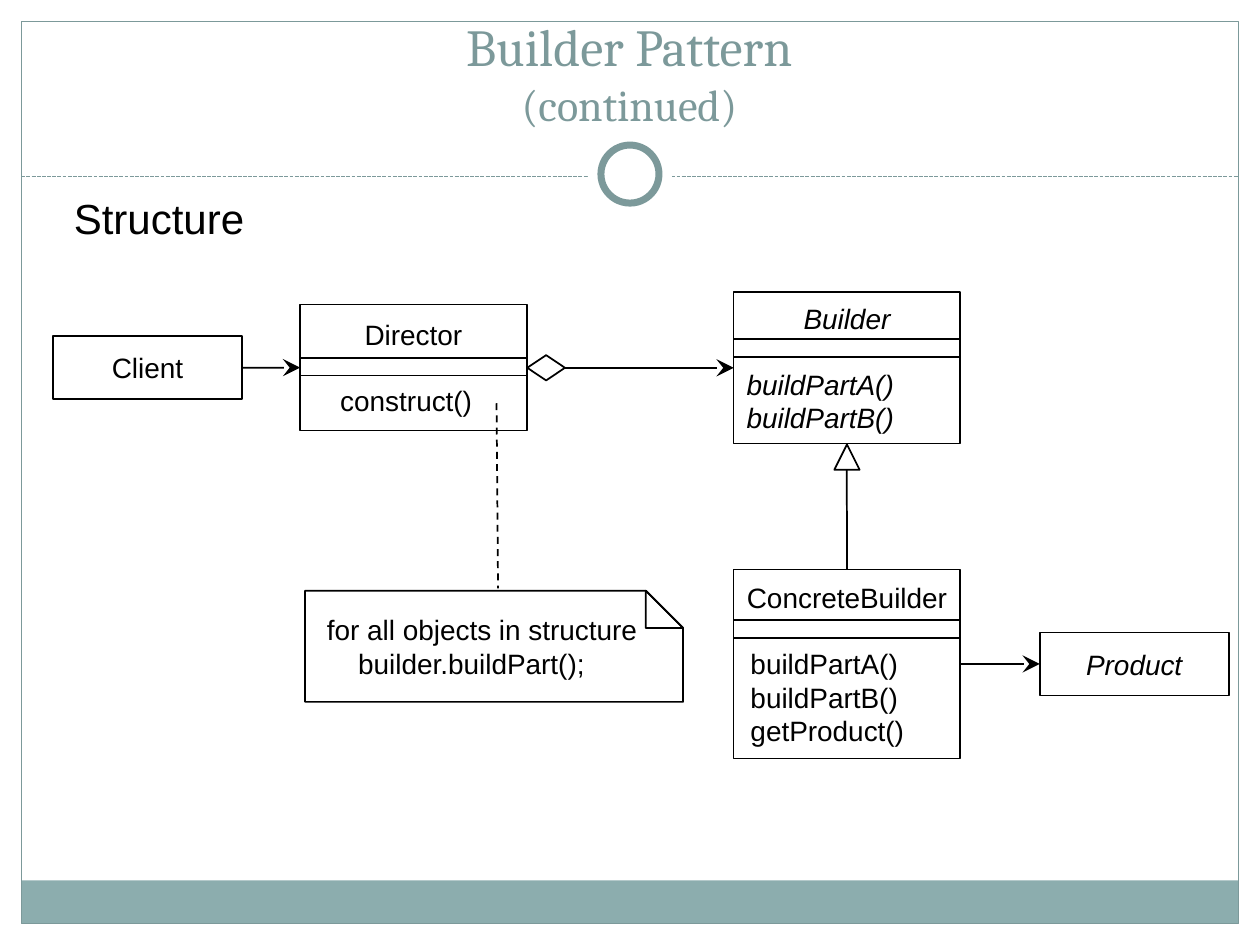
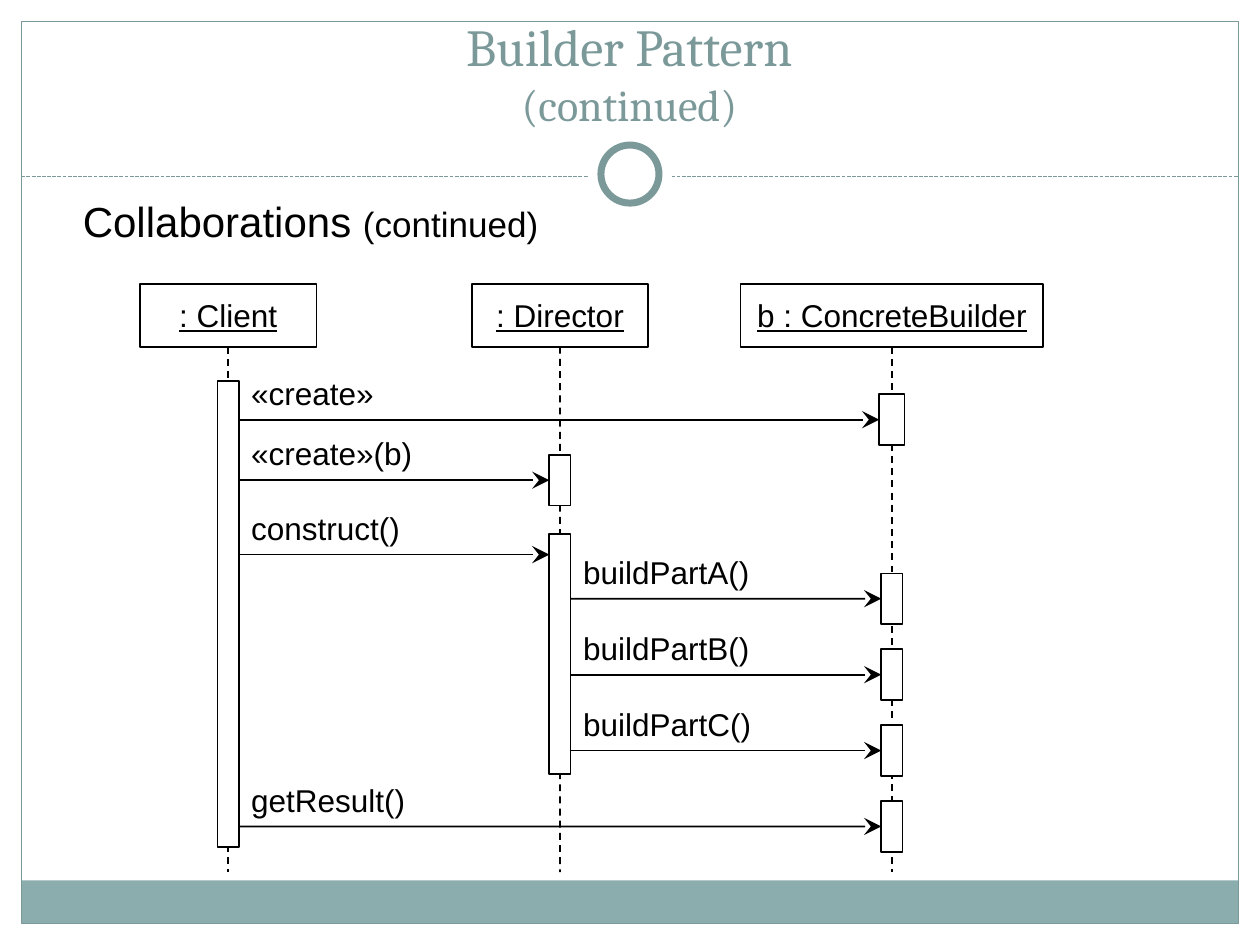
from collections import namedtuple

from lxml.etree import SubElement
from pptx import Presentation
from pptx.dml.color import RGBColor
from pptx.enum.dml import MSO_LINE
from pptx.enum.shapes import MSO_CONNECTOR, MSO_SHAPE
from pptx.enum.text import MSO_ANCHOR, MSO_AUTO_SIZE, PP_ALIGN
from pptx.oxml.ns import qn
from pptx.util import Cm, Pt

BLACK, WHITE, TEAL, BAND = "000000", "FFFFFF", "7C999A", "8CADAE"
BODY_FONT, TITLE_FONT = "Arial", "Cambria"
TOP, LEFT, BOTTOM, RIGHT = range(4)
TITLE_ONLY = 5

Box = namedtuple("Box", "left top width height")


def color(value):
    return RGBColor.from_string(value)


def within(box, left, top, width, height):
    return Box(box.left + left, box.top + top, width, height)


def paint(shape, fill, line, line_width):
    shape.shadow.inherit = False
    if fill:
        shape.fill.solid()
        shape.fill.fore_color.rgb = color(fill)
    else:
        shape.fill.background()
    if line:
        shape.line.color.rgb = color(line)
        shape.line.width = Pt(line_width)
    else:
        shape.line.fill.background()
    return shape


def add_figure(slide, kind, box, fill=None, line=BLACK, line_width=1):
    shape = slide.shapes.add_shape(kind, *map(Cm, box))
    return paint(shape, fill, line, line_width)


def add_line(slide, start, end, line=BLACK, line_width=1, dash=None, arrow=False):
    connector = slide.shapes.add_connector(
        MSO_CONNECTOR.STRAIGHT, *map(Cm, (*start, *end)))
    connector.line.color.rgb = color(line)
    connector.line.width = Pt(line_width)
    if dash:
        connector.line.dash_style = dash
    properties = connector.element.spPr
    if arrow:
        SubElement(properties.find(qn("a:ln")), qn("a:tailEnd"),
                   type="stealth", w="lg", len="lg")
    SubElement(properties, qn("a:effectLst"))
    return connector


def join(slide, first, first_side, second, second_side):
    connector = add_line(slide, (0, 0), (1, 1), arrow=True)
    connector.begin_connect(first, first_side)
    connector.end_connect(second, second_side)


def write(shape, lines, size, align=PP_ALIGN.LEFT, anchor=MSO_ANCHOR.MIDDLE,
          margin=0.25, italic=False, underline=False):
    frame = shape.text_frame
    frame.word_wrap = True
    frame.vertical_anchor = anchor
    frame.margin_left = frame.margin_right = Cm(margin)
    frame.text = "\n".join(lines)
    for paragraph in frame.paragraphs:
        paragraph.alignment = align
        font = paragraph.font
        font.name, font.size, font.color.rgb = BODY_FONT, Pt(size), color(BLACK)
        font.italic, font.underline = italic, underline
    return frame.paragraphs


def indent(paragraph, length):
    paragraph._p.get_or_add_pPr().set("marL", str(Cm(length)))


def add_label(slide, box, text, size, anchor=MSO_ANCHOR.MIDDLE):
    label = slide.shapes.add_textbox(*map(Cm, box))
    return write(label, [text], size, anchor=anchor)[0]


def add_frame(slide, box):
    center = box.left + box.width / 2
    rule_y = box.top + 3.13
    ring_y = box.top + 3.08
    add_figure(slide, MSO_SHAPE.RECTANGLE,
               within(box, 0, box.height - 0.87, box.width, 0.87), BAND, None)
    add_figure(slide, MSO_SHAPE.RECTANGLE, box, None, TEAL, 0.75)
    add_line(slide, (box.left, rule_y), (box.left + box.width, rule_y),
             TEAL, 0.75, MSO_LINE.SQUARE_DOT)
    for diameter, line in ((1.7, None), (1.17, TEAL)):
        add_figure(slide, MSO_SHAPE.OVAL,
                   Box(center - diameter / 2, ring_y - diameter / 2, diameter, diameter),
                   WHITE, line, 4)


def build_layout(presentation):
    layout = presentation.slide_layouts[TITLE_ONLY]
    for placeholder in list(layout.placeholders)[1:]:
        layout.shapes.element.remove(placeholder.element)
    return layout


def share_frame(slide, layout, box):
    add_frame(slide, box)
    for shape in list(slide.shapes):
        if not shape.is_placeholder:
            layout.shapes.element.append(shape.element)


def add_title(slide, box):
    title = slide.shapes.title
    title.left, title.top, title.width, title.height = map(Cm, box)
    frame = title.text_frame
    frame.auto_size = MSO_AUTO_SIZE.NONE
    frame.vertical_anchor = MSO_ANCHOR.BOTTOM
    paragraph = frame.paragraphs[0]
    paragraph.alignment = PP_ALIGN.CENTER
    paragraph.font.name = TITLE_FONT
    paragraph.font.color.rgb = color(TEAL)
    heading = paragraph.add_run()
    heading.text, heading.font.size = "Builder Pattern", Pt(29.7)
    paragraph.add_line_break()
    continued = paragraph.add_run()
    continued.text, continued.font.size = "(continued)", Pt(25.2)


def add_class(slide, box, name, methods=(), divider=0, method_indent=0, italic=False):
    shape = add_figure(slide, MSO_SHAPE.RECTANGLE, box)
    paragraphs = write(shape, [name, *methods], 16, margin=0.13, italic=italic)
    paragraphs[0].alignment = PP_ALIGN.CENTER
    for paragraph in paragraphs[1:]:
        indent(paragraph, method_indent)
    if methods:
        paragraphs[1].space_before = Pt(18.4)
        for y in (box.top + divider, box.top + divider + 0.36):
            add_line(slide, (box.left, y), (box.left + box.width, y))
    return shape


def add_note(slide, box, lines):
    fold = 0.75
    right, bottom = box.left + box.width, box.top + box.height
    corners = [(right - fold, box.top), (right, box.top + fold),
               (right, bottom), (box.left, bottom)]
    builder = slide.shapes.build_freeform(Cm(box.left), Cm(box.top))
    builder.add_line_segments([(Cm(x), Cm(y)) for x, y in corners])
    note = paint(builder.convert_to_shape(), None, BLACK, 1)
    paragraphs = write(note, lines, 16, margin=0.44)
    indent(paragraphs[1], 0.63)
    add_figure(slide, MSO_SHAPE.RIGHT_TRIANGLE,
               Box(right - fold, box.top, fold, fold))


def add_class_diagram(slide, box):
    parts = ["buildPartA()", "buildPartB()"]
    client = add_class(slide, within(box, 0, 0.89, 3.81, 1.27), "Client")
    director = add_class(slide, within(box, 4.98, 0.25, 4.57, 2.54), "Director",
                         ["construct()"], 1.07, 0.68)
    builder = add_class(slide, within(box, 13.72, 0, 4.57, 3.05), "Builder",
                        parts, 0.94, 0.13, True)
    concrete = add_class(slide, within(box, 13.72, 5.59, 4.57, 3.81), "ConcreteBuilder",
                         parts + ["getProduct()"], 1.02, 0.21)
    product = add_class(slide, within(box, 19.89, 6.86, 3.81, 1.27), "Product", italic=True)
    add_note(slide, within(box, 5.08, 6.02, 7.62, 2.24),
             ["for all objects in structure", "builder.buildPart();"])

    diamond = add_figure(slide, MSO_SHAPE.DIAMOND, within(box, 9.56, 1.27, 0.76, 0.51))
    join(slide, client, RIGHT, director, LEFT)
    join(slide, diamond, RIGHT, builder, LEFT)
    join(slide, concrete, RIGHT, product, LEFT)

    add_figure(slide, MSO_SHAPE.ISOSCELES_TRIANGLE, within(box, 15.75, 3.07, 0.51, 0.51))
    axis = box.left + 16.0
    inheritance = add_line(slide, (axis, box.top + 5.59), (axis, box.top + 3.58))
    inheritance.begin_connect(concrete, TOP)
    add_line(slide, (box.left + 8.94, box.top + 2.24),
             (box.left + 8.97, box.top + 5.97), dash=MSO_LINE.DASH)


def add_sequence_diagram(slide, box):
    bar_width, short_bar = 0.43, 1.02
    axes = [box.left + 1.78 + 6.69 * index for index in range(3)]
    client, director, concrete = range(3)

    def add_bar(participant, top, height, width=bar_width):
        return add_figure(slide, MSO_SHAPE.RECTANGLE,
                          Box(axes[participant] - width / 2, box.top + top, width, height),
                          WHITE)

    participants = ((": Client", 3.56), (": Director", 3.56), ("b : ConcreteBuilder", 6.1))
    for axis, (name, width) in zip(axes, participants):
        head = add_figure(slide, MSO_SHAPE.RECTANGLE,
                          Box(axis - width / 2, box.top, width, 1.27))
        write(head, [name], 18, PP_ALIGN.CENTER, margin=0, underline=True)
        lifeline = add_line(slide, (axis, box.top + 1.27),
                            (axis, box.top + box.height), dash=MSO_LINE.DASH)
        lifeline.begin_connect(head, BOTTOM)

    add_bar(client, 1.96, 9.4)
    add_bar(director, 5.05, 4.83)

    messages = [("«create»", client, concrete, 2.74, 0.51),
                ("«create»(b)", client, director, 3.96, bar_width),
                ("construct()", client, director, 5.46, None)]
    messages += [(f"buildPart{letter}()", director, concrete, 6.35 + 1.53 * index, bar_width)
                 for index, letter in enumerate("ABC")]
    messages.append(("getResult()", client, concrete, 10.94, bar_width))
    for text, source, target, y, target_width in messages:
        start = axes[source] + bar_width / 2
        level = box.top + y
        arrow = add_line(slide, (start, level),
                         (axes[target] - bar_width / 2, level), arrow=True)
        if target_width:
            bar = add_bar(target, y - short_bar / 2, short_bar, target_width)
            arrow.end_connect(bar, LEFT)
        add_label(slide, Box(start, level - 1.05, 5, 1.02), text, 18)


def main():
    presentation = Presentation()
    presentation.slide_width, presentation.slide_height = Cm(25.4), Cm(19.05)
    layout = build_layout(presentation)
    structure, collaborations = [presentation.slides.add_slide(layout) for _ in range(2)]
    share_frame(structure, layout, Box(0.43, 0.43, 24.54, 18.19))
    for slide in (structure, collaborations):
        add_title(slide, Box(0.84, 0.64, 23.7, 2.11))

    add_label(structure, Box(1.24, 3.76, 6, 1.27), "Structure", 24, MSO_ANCHOR.TOP)
    add_class_diagram(structure, Box(1.07, 5.89, 23.7, 9.4))

    heading = add_label(collaborations, Box(1.42, 3.81, 11, 1.27), "Collaborations ",
                        24, MSO_ANCHOR.TOP)
    continued = heading.add_run()
    continued.text, continued.font.size = "(continued)", Pt(20)
    add_sequence_diagram(collaborations, Box(2.82, 5.72, 18.21, 11.86))

    presentation.save("out.pptx")


if __name__ == "__main__":
    main()
